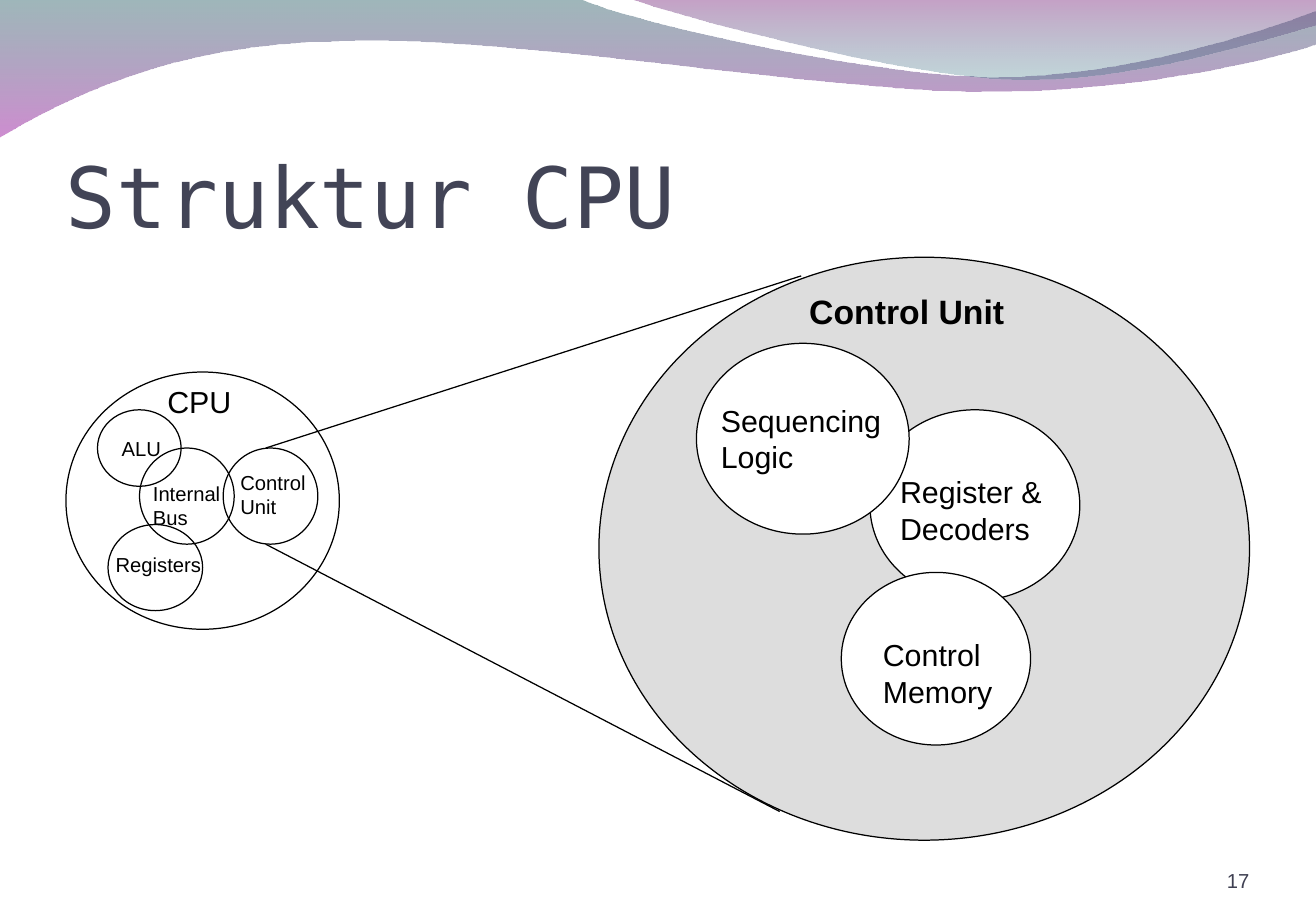
from dataclasses import dataclass

from lxml import etree
from pptx import Presentation
from pptx.dml.color import RGBColor
from pptx.enum import shapes, text
from pptx.oxml import ns
from pptx.util import Cm, Pt


@dataclass(frozen=True)
class Theme:
    title_font: str = "DejaVu Sans Mono"
    body_font: str = "Arial"
    title_color: str = "424456"
    number_color: str = "3F4052"
    ink: str = "000000"
    paper: str = "FFFFFF"
    shade: str = "DDDDDD"
    title_size: int = 50
    heading_size: int = 20
    large_size: int = 18
    small_size: int = 12
    line_width: float = 0.75
    # (colour, opacity in percent) from top to bottom
    back_wave: tuple = (("2A6066", 45), ("A52FA9", 55))
    front_wave: tuple = (("7D2C80", 45), ("2E7A81", 30))


THEME = Theme()
WIDTH, HEIGHT = 27.53, 19.05

# Each segment is one point (straight) or two controls and an end (curve), in cm.
BACK_WAVE = [
    [(0, -0.03)],
    [(12.12, -0.03)],
    [(13.08, 0.43), (18.26, 1.6), (20.88, 1.6)],
    [(23.47, 1.6), (26.37, 0.66), (27.51, 0.23)],
    [(27.56, 0.91)],
    [(27.05, 1.12), (23.93, 1.93), (20.52, 1.91)],
    [(17.12, 1.91), (10.52, 0.71), (7.09, 0.86)],
    [(3.56, 0.89), (1.27, 2.11), (-0.03, 2.87)],
]
FRONT_WAVE = [
    [(13.18, -0.03)],
    [(14.02, 0.28), (18.77, 1.57), (21.16, 1.65)],
    [(23.55, 1.75), (26.47, 0.81), (WIDTH, 0.53)],
    [(WIDTH, 0)],
]

# Left, top, width, height in cm, and fill, from back to front.
CIRCLES = [
    ((12.53, 5.38, 13.61, 12.19), THEME.shade),  # control unit, enlarged
    ((18.2, 8.57, 4.39, 3.99), THEME.paper),     # register and decoders
    ((14.57, 7.18, 4.45, 3.99), THEME.paper),    # sequencing logic
    ((1.38, 7.78, 5.72, 5.38), None),            # CPU
    ((17.6, 11.97, 3.96, 3.61), THEME.paper),    # control memory
    ((4.67, 9.37, 1.98, 2.01), None),            # control unit
    ((2.26, 10.97, 1.98, 1.8), None),            # registers
    ((2.92, 9.37, 1.98, 2.01), None),            # internal bus
]
ALU_BOX = (2.04, 8.57, 1.75, 1.6)

ZOOM_LINES = [
    ((5.56, 9.37), (16.76, 5.77)),
    ((5.56, 11.38), (16.31, 16.97)),
]

LARGE_LABELS = [
    (["CPU"], (3.25, 7.88, 1.85, 1.02)),
    (["Control", "Memory"], (18.22, 13.18, 2.81, 1.78)),
    (["Sequencing", "Logic"], (14.83, 8.28, 3.86, 1.78)),
    (["Register &", "Decoders"], (18.58, 9.78, 3.47, 1.78)),
]
SMALL_LABELS = [
    (["Control", "Unit"], (4.78, 9.7, 1.88, 1.27)),
    (["Registers"], (2.17, 11.43, 2.29, 0.76)),
    (["Internal", "Bus"], (2.95, 9.93, 1.93, 1.27)),
]


def lengths(values):
    return [Cm(value) for value in values]


def write_lines(frame, lines, size, color=THEME.ink, font=THEME.body_font,
                bold=False, align=text.PP_ALIGN.LEFT):
    """Fill a text frame with one paragraph for each line."""
    for index, line in enumerate(lines):
        paragraph = frame.add_paragraph() if index else frame.paragraphs[0]
        paragraph.text = line
        paragraph.alignment = align
        paragraph.font.name = font
        paragraph.font.size = Pt(size)
        paragraph.font.bold = bold
        paragraph.font.color.rgb = RGBColor.from_string(color)


def clear_margins(frame):
    frame.margin_left = frame.margin_right = 0
    frame.margin_top = frame.margin_bottom = 0


def bend_curves(shape, segments):
    """Join the three straight steps of each curve segment into one Bézier."""
    steps = iter(list(shape.element.spPr.iter(ns.qn("a:lnTo"))))
    for segment in segments[1:]:
        first, *others = [next(steps) for _ in segment]
        if others:
            curve = etree.Element(ns.qn("a:cubicBezTo"))
            first.addprevious(curve)
            for step in (first, *others):
                curve.append(step[0])
                step.getparent().remove(step)


def add_wave(slide, segments, stops):
    start, *others = [lengths(point) for segment in segments for point in segment]
    builder = slide.shapes.build_freeform(*start)
    builder.add_line_segments(others, close=True)
    shape = builder.convert_to_shape()
    bend_curves(shape, segments)
    shape.shadow.inherit = False
    shape.line.fill.background()
    shape.fill.gradient()
    shape.fill.gradient_angle = 270
    for stop, (color, _) in zip(shape.fill.gradient_stops, stops):
        stop.color.rgb = RGBColor.from_string(color)
    colors = shape.element.spPr.iter(ns.qn("a:srgbClr"))
    for element, (_, opacity) in zip(colors, stops):
        alpha = etree.SubElement(element, ns.qn("a:alpha"))
        alpha.set("val", str(opacity * 1000))


def set_title(slide, title_text):
    title = slide.shapes.title
    title.left, title.top, title.width, title.height = lengths(
        (1.38, 1.96, 24.77, 3.18))
    frame = title.text_frame
    clear_margins(frame)
    frame.margin_top = Cm(0.13)
    frame.auto_size = text.MSO_AUTO_SIZE.NONE
    frame.vertical_anchor = text.MSO_ANCHOR.BOTTOM
    write_lines(frame, [title_text], THEME.title_size, THEME.title_color,
                THEME.title_font)


def add_circle(slide, box, fill=None):
    shape = slide.shapes.add_shape(shapes.MSO_SHAPE.OVAL, *lengths(box))
    shape.shadow.inherit = False
    if fill:
        shape.fill.solid()
        shape.fill.fore_color.rgb = RGBColor.from_string(fill)
    else:
        shape.fill.background()
    shape.line.color.rgb = RGBColor.from_string(THEME.ink)
    shape.line.width = Pt(THEME.line_width)
    return shape


def add_zoom_line(slide, start, end):
    line = slide.shapes.add_connector(
        shapes.MSO_CONNECTOR.STRAIGHT, *lengths(start + end))
    line.line.color.rgb = RGBColor.from_string(THEME.ink)
    line.line.width = Pt(THEME.line_width)
    etree.SubElement(line.element.spPr, ns.qn("a:effectLst"))


def add_label(slide, lines, box, size, anchor=text.MSO_ANCHOR.MIDDLE, **style):
    frame = slide.shapes.add_textbox(*lengths(box)).text_frame
    frame.word_wrap = False
    frame.auto_size = text.MSO_AUTO_SIZE.SHAPE_TO_FIT_TEXT
    frame.vertical_anchor = anchor
    write_lines(frame, lines, size, **style)
    return frame


def main():
    presentation = Presentation()
    presentation.slide_width, presentation.slide_height = lengths((WIDTH, HEIGHT))
    slide = presentation.slides.add_slide(presentation.slide_layouts[5])

    add_wave(slide, BACK_WAVE, THEME.back_wave)
    add_wave(slide, FRONT_WAVE, THEME.front_wave)
    set_title(slide, "Struktur CPU")

    for box, fill in CIRCLES:
        add_circle(slide, box, fill)
    alu = add_circle(slide, ALU_BOX).text_frame
    alu.word_wrap = False
    write_lines(alu, ["ALU"], THEME.small_size)
    for start, end in ZOOM_LINES:
        add_zoom_line(slide, start, end)

    for lines, box in LARGE_LABELS:
        add_label(slide, lines, box, THEME.large_size, text.MSO_ANCHOR.TOP)
    for lines, box in SMALL_LABELS:
        add_label(slide, lines, box, THEME.small_size)
    add_label(slide, ["Control Unit"], (16.68, 5.94, 4.6, 1.12),
              THEME.heading_size, bold=True)

    number = add_label(slide, ["17"], (23.85, 17.65, 2.29, 1.02),
                       THEME.small_size, text.MSO_ANCHOR.BOTTOM,
                       color=THEME.number_color, align=text.PP_ALIGN.RIGHT)
    number.word_wrap = True
    number.auto_size = text.MSO_AUTO_SIZE.NONE
    clear_margins(number)

    presentation.save("out.pptx")


if __name__ == "__main__":
    main()
